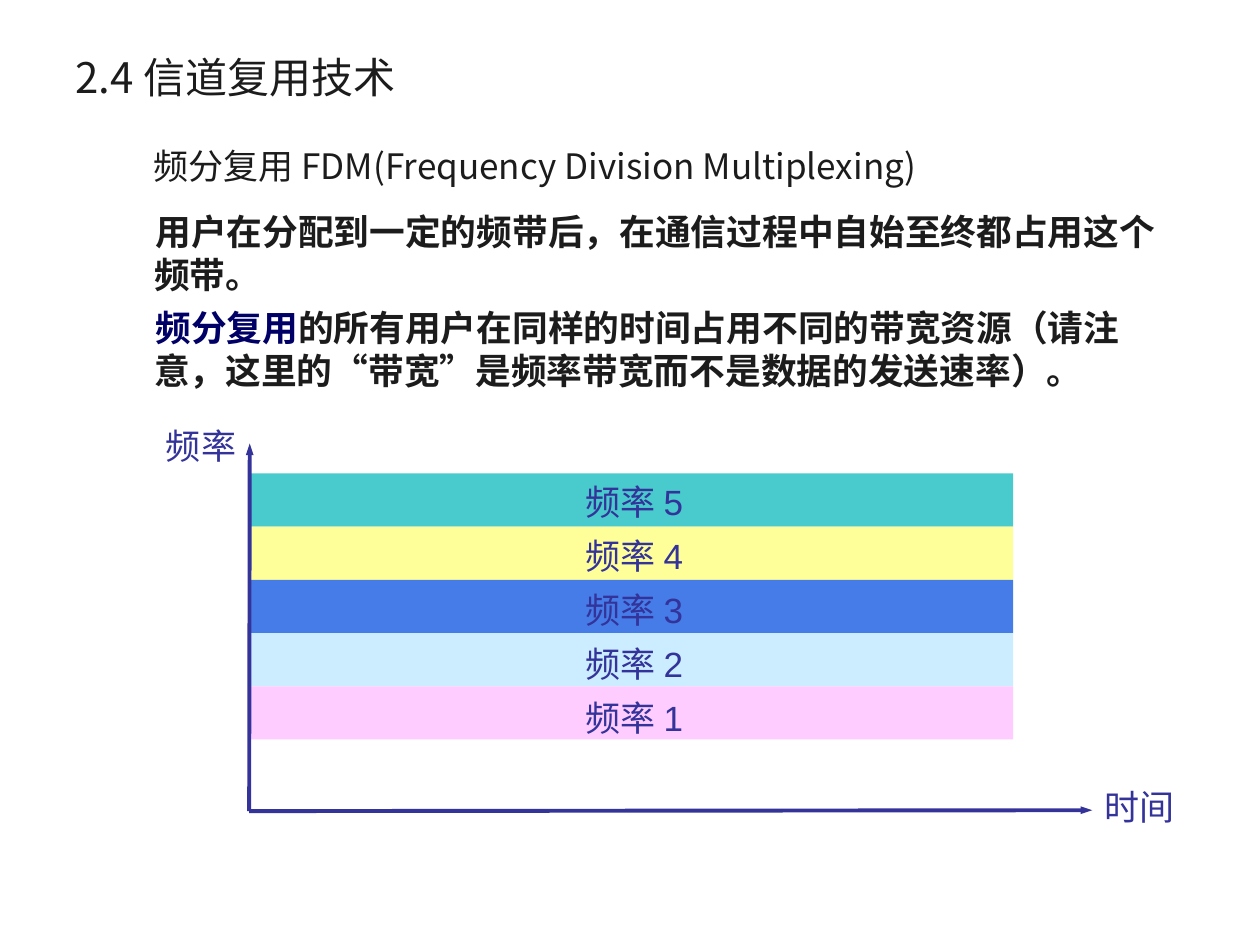
from lxml import etree
from pptx import Presentation
from pptx.dml.color import RGBColor
from pptx.enum import shapes, text
from pptx.oxml.ns import qn
from pptx.util import Pt

COLOURS = {"ink": "1C1C1C", "term": "000066", "diagram": "333399"}
BANDS = {  # top to bottom
    "频率 5": "49CACD",
    "频率 4": "FFFF99",
    "频率 3": "467CE8",
    "频率 2": "CCECFF",
    "频率 1": "FFCCFF",
}
CJK = "Noto Sans CJK SC"


class SlideWriter:
    def __init__(self, slide):
        self.slide = slide

    def style_run(self, run, size, colour, font=CJK, bold=False):
        run.font.size = Pt(size)
        run.font.name = font
        run.font.bold = bold
        run.font.color.rgb = RGBColor.from_string(COLOURS[colour])
        east_asian = etree.SubElement(run.font._element, qn("a:ea"))
        east_asian.set("typeface", CJK)

    def text_frame(self, left, top, width, height):
        frame = self.slide.shapes.add_textbox(
            Pt(left), Pt(top), Pt(width), Pt(height)).text_frame
        frame.word_wrap = True
        return frame

    def heading(self, words, left, top, size):
        frame = self.text_frame(left, top, 648, 44)
        frame.vertical_anchor = text.MSO_ANCHOR.MIDDLE
        frame.text = words
        self.style_run(frame.paragraphs[0].runs[0], size, "ink")

    def body(self, paragraphs, left, top, width, height):
        """Each paragraph is a list of (words, colour) pairs."""
        frame = self.text_frame(left, top, width, height)
        for index, parts in enumerate(paragraphs):
            paragraph = frame.add_paragraph() if index else frame.paragraphs[0]
            properties = paragraph._p.get_or_add_pPr()
            properties.set("marL", str(Pt(27)))
            properties.set("indent", str(Pt(0.7)))
            properties.set("hangingPunct", "0")
            if index:
                paragraph.space_before = Pt(5.5)
            for words, colour in parts:
                run = paragraph.add_run()
                run.text = words
                self.style_run(run, 20.4, colour, bold=True)

    def label(self, words, left, top, width, font):
        frame = self.text_frame(left, top, width, 28.8)
        frame.word_wrap = False
        frame.auto_size = text.MSO_AUTO_SIZE.SHAPE_TO_FIT_TEXT
        frame.text = words
        frame.paragraphs[0].line_spacing = 0.9
        self.style_run(frame.paragraphs[0].runs[0], 20, "diagram", font)

    def band(self, left, top, width, height, fill):
        band = self.slide.shapes.add_shape(
            shapes.MSO_SHAPE.RECTANGLE, Pt(left), Pt(top), Pt(width), Pt(height))
        band.shadow.inherit = False
        band.fill.solid()
        band.fill.fore_color.rgb = RGBColor.from_string(fill)
        band.line.fill.background()

    def axis(self, start, end):
        axis = self.slide.shapes.add_connector(
            shapes.MSO_CONNECTOR.STRAIGHT, *(Pt(v) for v in (*start, *end)))
        axis.line.width = Pt(2.25)
        axis.line.color.rgb = RGBColor.from_string(COLOURS["diagram"])
        arrowhead = etree.SubElement(axis.line._get_or_add_ln(), qn("a:tailEnd"))
        arrowhead.set("type", "triangle")
        arrowhead.set("w", "sm")
        etree.SubElement(axis._element.spPr, qn("a:effectLst"))


def main():
    deck = Presentation()
    deck.slide_width, deck.slide_height = Pt(720), Pt(540)
    writer = SlideWriter(deck.slides.add_slide(deck.slide_layouts[6]))

    writer.heading("2.4 信道复用技术", 36, 21.6, 24)
    writer.heading("频分复用 FDM(Frequency Division Multiplexing)", 80.6, 72.7, 20)
    writer.body([
        [("用户在分配到一定的频带后，在通信过程中自始至终都占用这个频带。", "ink")],
        [("频分复用", "term"),
         ("的所有用户在同样的时间占用不同的带宽资源"
          "（请注意，这里的“带宽”是频率带宽而不是数据的发送速率）。", "ink")],
    ], 54, 116.6, 623.5, 141.8)

    origin = (142.4, 463.5)
    band_height, label_pitch = 30.4, 30.8
    for row, fill in enumerate(BANDS.values()):
        writer.band(142.6, 270.6 + row * band_height, 436.3, band_height, fill)
    for row, channel in enumerate(BANDS):
        writer.label(channel, 327.6, 273.8 + row * label_pitch, 74.9, "Arial")

    writer.axis(origin, (624.2, 463))
    writer.axis(origin, (142.7, 253.4))
    writer.label("频率", 87.8, 241.9, 56, "Times New Roman")
    writer.label("时间", 624.2, 447.8, 56, "Times New Roman")

    deck.save("out.pptx")


if __name__ == "__main__":
    main()
